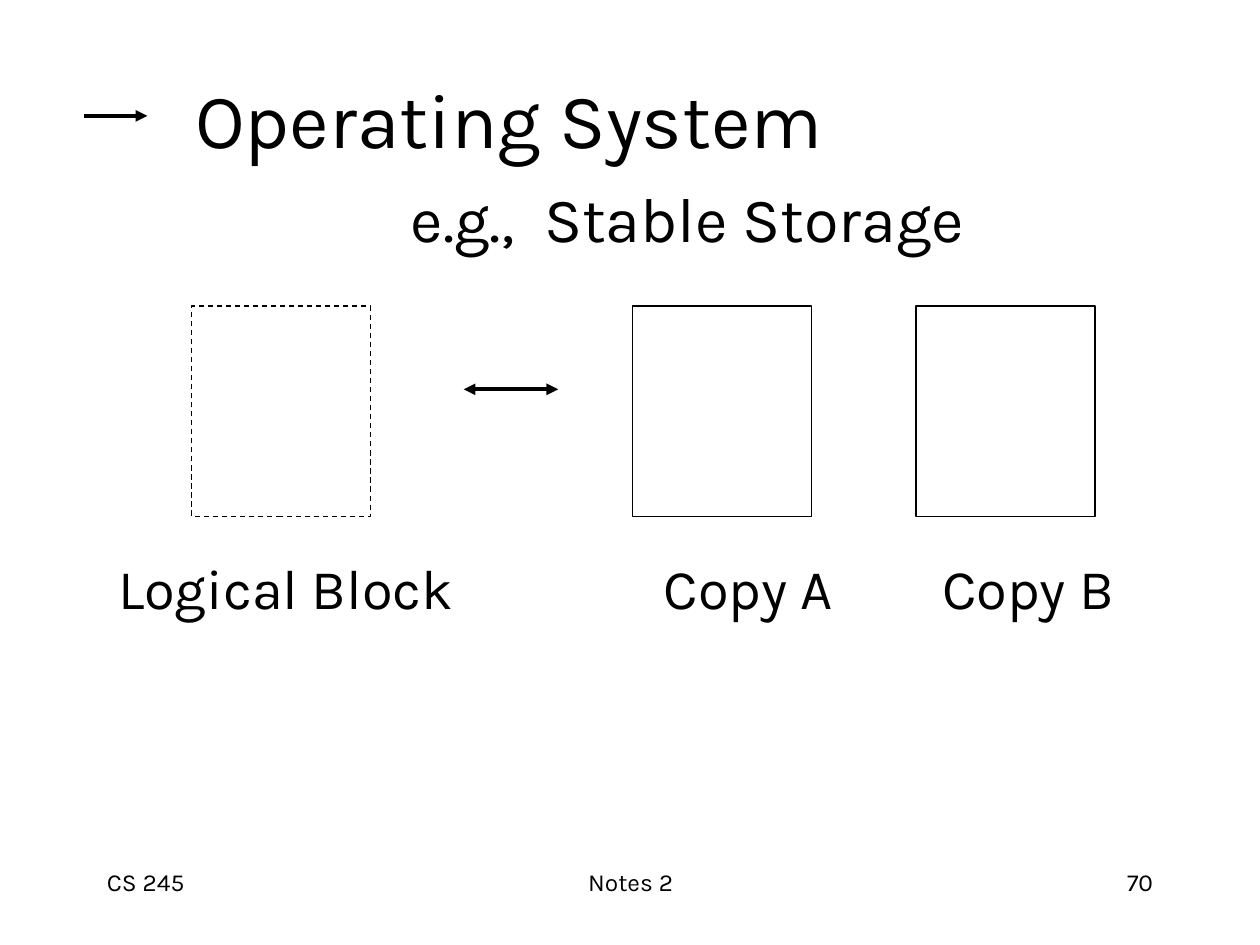
from lxml import etree
from pptx import Presentation, util as u
from pptx.dml.color import RGBColor
from pptx.enum import dml, shapes, text
from pptx.oxml.ns import qn

COLORS = {"ink": "000000", "paper": "FFFFFF"}
FONT = "Karla"
LEFT, CENTER, RIGHT = text.PP_ALIGN.LEFT, text.PP_ALIGN.CENTER, text.PP_ALIGN.RIGHT

TITLE_LINES = [("Operating System", 44, 0.7, 0), ("e.g.,  Stable Storage", 36, 2.41, 9)]
BLOCK_LABELS = ["Logical Block", "Copy A", "Copy B"]
LABEL_TABS = [4.33, 6.54]
BLOCKS = [(1.52, True), (5.02, False), (7.27, False)]
BLOCK_TOP, BLOCK_WIDTH, BLOCK_HEIGHT = 2.43, 1.42, 1.67
ARROWS = [(0.67, 1.17, 0.92, ["tailEnd"]), (3.68, 4.43, 3.09, ["headEnd", "tailEnd"])]
FOOTERS = [("CS 245", 0.75, 2.08, LEFT), ("Notes 2", 3.42, 3.17, CENTER), ("70", 7.17, 2.08, RIGHT)]


def color(name):
    return RGBColor.from_string(COLORS[name])


def style(paragraph, size, alignment=LEFT):
    paragraph.alignment = alignment
    paragraph.font.size = u.Pt(size)
    paragraph.font.name = FONT
    paragraph.font.color.rgb = color("ink")


def add_text(slide, wording, left, top, width, height, size, alignment=LEFT, tabs=()):
    box = slide.shapes.add_textbox(*map(u.Inches, (left, top, width, height)))
    box.text_frame.word_wrap = True
    paragraph = box.text_frame.paragraphs[0]
    paragraph.text = wording
    if tabs:
        tab_list = etree.SubElement(paragraph._p.get_or_add_pPr(), qn("a:tabLst"))
        for position in tabs:
            etree.SubElement(tab_list, qn("a:tab"), pos=str(u.Inches(position)), algn="l")
    style(paragraph, size, alignment)


def fill_title(title):
    title.left, title.top, title.width, title.height = map(u.Inches, (0.75, 0.67, 8.5, 1.25))
    frame = title.text_frame
    frame.auto_size = text.MSO_AUTO_SIZE.NONE
    frame.vertical_anchor = text.MSO_ANCHOR.MIDDLE
    frame.text = "\n".join(line[0] for line in TITLE_LINES)
    for paragraph, (_, size, indent, gap) in zip(frame.paragraphs, TITLE_LINES):
        properties = paragraph._p.get_or_add_pPr()
        properties.set("marL", str(u.Inches(indent)))
        properties.set("indent", "0")
        if gap:
            paragraph.space_before = u.Pt(gap)
        style(paragraph, size)


def add_arrow(slide, start, end, y, heads):
    arrow = slide.shapes.add_connector(
        shapes.MSO_CONNECTOR.STRAIGHT, *map(u.Inches, (start, y, end, y)))
    arrow.line.color.rgb = color("ink")
    arrow.line.width = u.Pt(2.25)
    for head in heads:
        etree.SubElement(arrow.line._get_or_add_ln(), qn(f"a:{head}"), type="triangle")
    etree.SubElement(arrow._element.spPr, qn("a:effectLst"))


def add_block(slide, left, dashed):
    block = slide.shapes.add_shape(
        shapes.MSO_SHAPE.RECTANGLE,
        *map(u.Inches, (left, BLOCK_TOP, BLOCK_WIDTH, BLOCK_HEIGHT)))
    block.shadow.inherit = False
    block.fill.solid()
    block.fill.fore_color.rgb = color("paper")
    block.line.color.rgb = color("ink")
    block.line.width = u.Pt(0.75)
    if dashed:
        block.line.dash_style = dml.MSO_LINE.DASH


def main():
    presentation = Presentation()
    presentation.slide_width, presentation.slide_height = u.Inches(10), u.Inches(7.5)
    slide = presentation.slides.add_slide(presentation.slide_layouts[5])
    fill_title(slide.shapes.title)
    for wording, left, width, alignment in FOOTERS:
        add_text(slide, wording, left, 6.83, width, 0.5, 14, alignment)
    add_text(slide, "\t".join(BLOCK_LABELS), 0.84, 4.34, 8.5, 0.66, 32, tabs=LABEL_TABS)
    for arrow in ARROWS:
        add_arrow(slide, *arrow)
    for block in BLOCKS:
        add_block(slide, *block)
    presentation.save("out.pptx")


if __name__ == "__main__":
    main()
